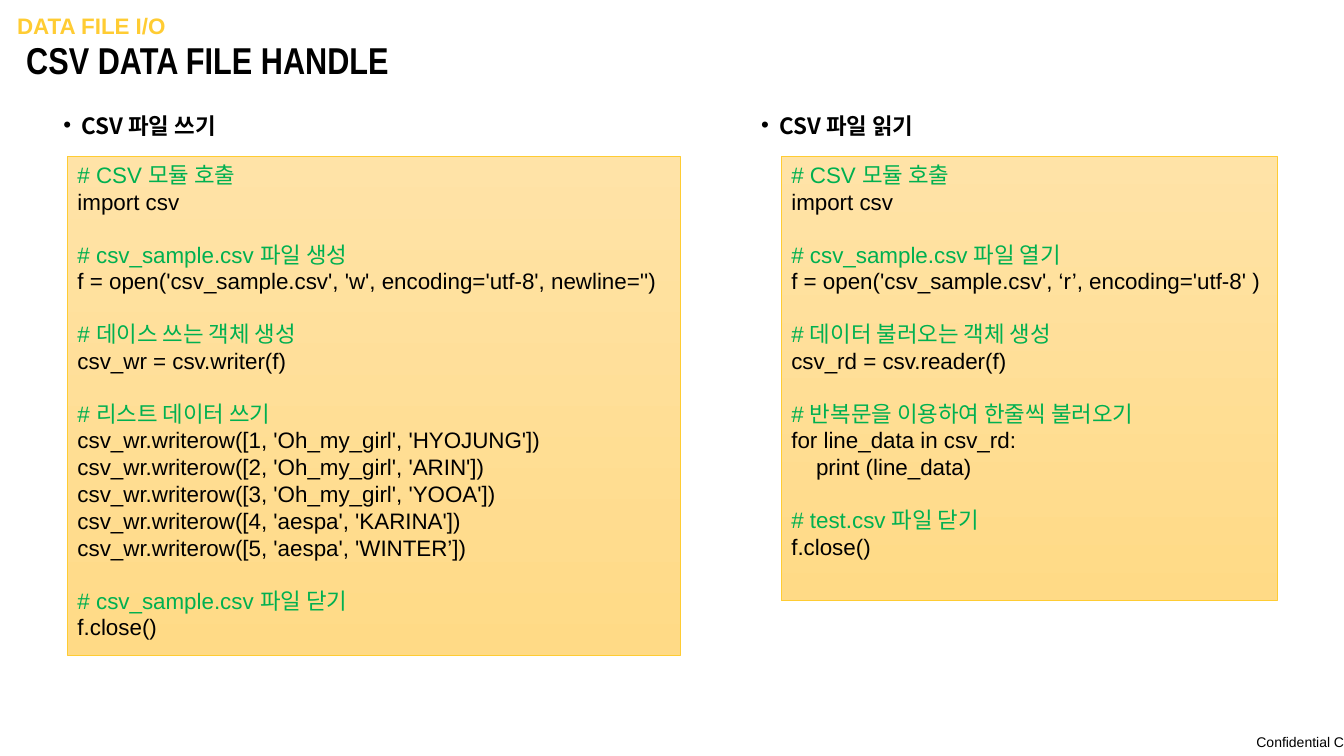
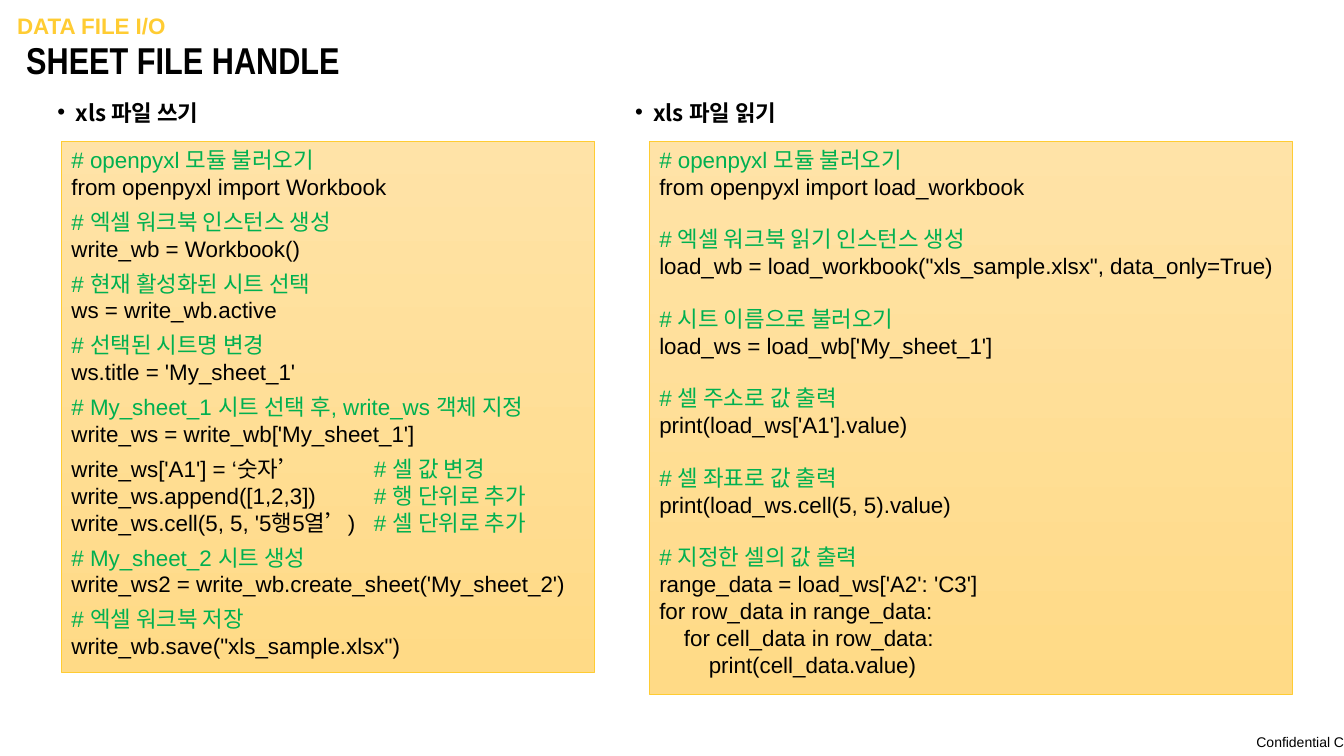
from lxml.etree import SubElement
from pptx import Presentation
from pptx.dml.color import RGBColor
from pptx.enum.shapes import MSO_SHAPE
from pptx.enum.text import MSO_ANCHOR, PP_ALIGN
from pptx.oxml.ns import qn
from pptx.util import Inches, Pt

COLORS = {
    "accent": "FFCC33",
    "text": "000000",
    "comment": "00B050",
    "panel_top": "FFE3A7",
    "panel_bottom": "FFDA86",
}
KOREAN_FONT = "Noto Sans CJK KR"

CSV_WRITE = """# CSV 모듈 호출
import csv

# csv_sample.csv 파일 생성
f = open('csv_sample.csv', 'w', encoding='utf-8', newline='')

# 데이스 쓰는 객체 생성
csv_wr = csv.writer(f)

# 리스트 데이터 쓰기
csv_wr.writerow([1, 'Oh_my_girl', 'HYOJUNG'])
csv_wr.writerow([2, 'Oh_my_girl', 'ARIN'])
csv_wr.writerow([3, 'Oh_my_girl', 'YOOA'])
csv_wr.writerow([4, 'aespa', 'KARINA'])
csv_wr.writerow([5, 'aespa', 'WINTER’])

# csv_sample.csv 파일 닫기
f.close()"""

CSV_READ = """# CSV 모듈 호출
import csv

# csv_sample.csv 파일 열기
f = open('csv_sample.csv', ‘r’, encoding='utf-8' )

# 데이터 불러오는 객체 생성
csv_rd = csv.reader(f)

# 반복문을 이용하여 한줄씩 불러오기
for line_data in csv_rd:
    print (line_data)

# test.csv 파일 닫기
f.close()"""

XLS_WRITE = """# openpyxl 모듈 불러오기
from openpyxl import Workbook

# 엑셀 워크북 인스턴스 생성
write_wb = Workbook()

# 현재 활성화된 시트 선택
ws = write_wb.active

# 선택된 시트명 변경
ws.title = 'My_sheet_1'

# My_sheet_1 시트 선택 후, write_ws 객체 지정
write_ws = write_wb['My_sheet_1']

write_ws['A1'] = ‘숫자’\t# 셀 값 변경
write_ws.append([1,2,3])\t# 행 단위로 추가
write_ws.cell(5, 5, '5행5열’)\t# 셀 단위로 추가

# My_sheet_2 시트 생성
write_ws2 = write_wb.create_sheet('My_sheet_2')

# 엑셀 워크북 저장
write_wb.save("xls_sample.xlsx")"""

XLS_READ = """# openpyxl 모듈 불러오기
from openpyxl import load_workbook

# 엑셀 워크북 읽기 인스턴스 생성
load_wb = load_workbook("xls_sample.xlsx", data_only=True)

# 시트 이름으로 불러오기
load_ws = load_wb['My_sheet_1']

# 셀 주소로 값 출력
print(load_ws['A1'].value)

# 셀 좌표로 값 출력
print(load_ws.cell(5, 5).value)

# 지정한 셀의 값 출력
range_data = load_ws['A2': 'C3']
for row_data in range_data:
    for cell_data in row_data:
        print(cell_data.value)"""

# Panel: heading, heading left, box (left, top, width, height), gap in points, code
SLIDES = [
    ("CSV DATA FILE HANDLE", 1.06, [
        ("CSV 파일 쓰기", 0.53, (0.67, 1.55, 6.08, 4.95), 18.4, CSV_WRITE),
        ("CSV 파일 읽기", 7.45, (7.75, 1.55, 4.92, 4.41), 18.4, CSV_READ),
    ]),
    ("SHEET FILE HANDLE", 0.93, [
        ("xls 파일 쓰기", 0.47, (0.61, 1.4, 5.29, 5.27), 5.75, XLS_WRITE),
        ("xls 파일 읽기", 6.2, (6.44, 1.4, 6.38, 5.49), 18.4, XLS_READ),
    ]),
]


def add_run(paragraph, text, size, color, bold=False, font_name="Arial"):
    run = paragraph.add_run()
    run.text = text
    run.font.size = Pt(size)
    run.font.bold = bold
    run.font.name = font_name
    run.font.color.rgb = RGBColor.from_string(COLORS[color])
    SubElement(run.font._element, qn("a:ea"), typeface=KOREAN_FONT)


def add_text_box(slide, box, anchor=MSO_ANCHOR.TOP):
    """Add a text box without margins and return its text frame."""
    text_frame = slide.shapes.add_textbox(*map(Inches, box)).text_frame
    text_frame.word_wrap = True
    text_frame.vertical_anchor = anchor
    text_frame.margin_left = text_frame.margin_right = 0
    text_frame.margin_top = text_frame.margin_bottom = 0
    return text_frame


presentation = Presentation()
presentation.slide_width = Inches(13.33)
presentation.slide_height = Inches(7.5)

for title, heading_top, panels in SLIDES:
    slide = presentation.slides.add_slide(presentation.slide_layouts[6])

    footer = add_text_box(slide, (12.15, 7.23, 1.18, 0.27), MSO_ANCHOR.MIDDLE).paragraphs[0]
    footer.alignment = PP_ALIGN.RIGHT
    add_run(footer, "Confidential C", 10, "text")

    section = add_text_box(slide, (0.17, 0.15, 12.81, 0.24)).paragraphs[0]
    section.line_spacing = 0.9
    add_run(section, "DATA FILE I/O", 16, "accent", bold=True)

    headline = add_text_box(slide, (0.26, 0.43, 12.81, 0.38), MSO_ANCHOR.MIDDLE).paragraphs[0]
    headline.line_spacing = 0.9
    add_run(headline, title, 26.7, "text", bold=True, font_name="Arial Narrow")

    for heading, heading_left, box, gap, code in panels:
        panel = slide.shapes.add_shape(MSO_SHAPE.RECTANGLE, *map(Inches, box))
        panel.shadow.inherit = False
        panel.fill.gradient()
        panel.fill.gradient_angle = 270
        for stop, color in zip(panel.fill.gradient_stops, ("panel_top", "panel_bottom")):
            stop.color.rgb = RGBColor.from_string(COLORS[color])
        panel.line.color.rgb = RGBColor.from_string(COLORS["accent"])
        panel.line.width = Pt(0.5)

        text_frame = panel.text_frame
        text_frame.word_wrap = True
        text_frame.vertical_anchor = MSO_ANCHOR.TOP
        paragraph = text_frame.paragraphs[0]
        for block_index, block in enumerate(code.split("\n\n")):
            for line_index, line in enumerate(block.split("\n")):
                if block_index or line_index:
                    paragraph = text_frame.add_paragraph()
                paragraph.alignment = PP_ALIGN.LEFT
                if block_index and line_index == 0:
                    paragraph.space_before = Pt(gap)
                if "\t" in line:
                    tabs = SubElement(paragraph._p.get_or_add_pPr(), qn("a:tabLst"))
                    SubElement(tabs, qn("a:tab"), pos=str(Inches(3)), algn="l")
                statement, mark, comment = line.partition("#")
                if statement:
                    add_run(paragraph, statement, 16, "text")
                if mark:
                    add_run(paragraph, mark + comment, 16, "comment")

        heading_box = (heading_left + 0.1, heading_top + 0.05, 2.5, 0.27)
        paragraph = add_text_box(slide, heading_box).paragraphs[0]
        properties = paragraph._p.get_or_add_pPr()
        properties.set("marL", str(Inches(0.18)))
        properties.set("indent", str(Inches(-0.18)))
        SubElement(properties, qn("a:buFont"), typeface="Arial")
        SubElement(properties, qn("a:buChar"), char="•")
        add_run(paragraph, heading, 16, "text", bold=True, font_name=KOREAN_FONT)

presentation.save("out.pptx")
